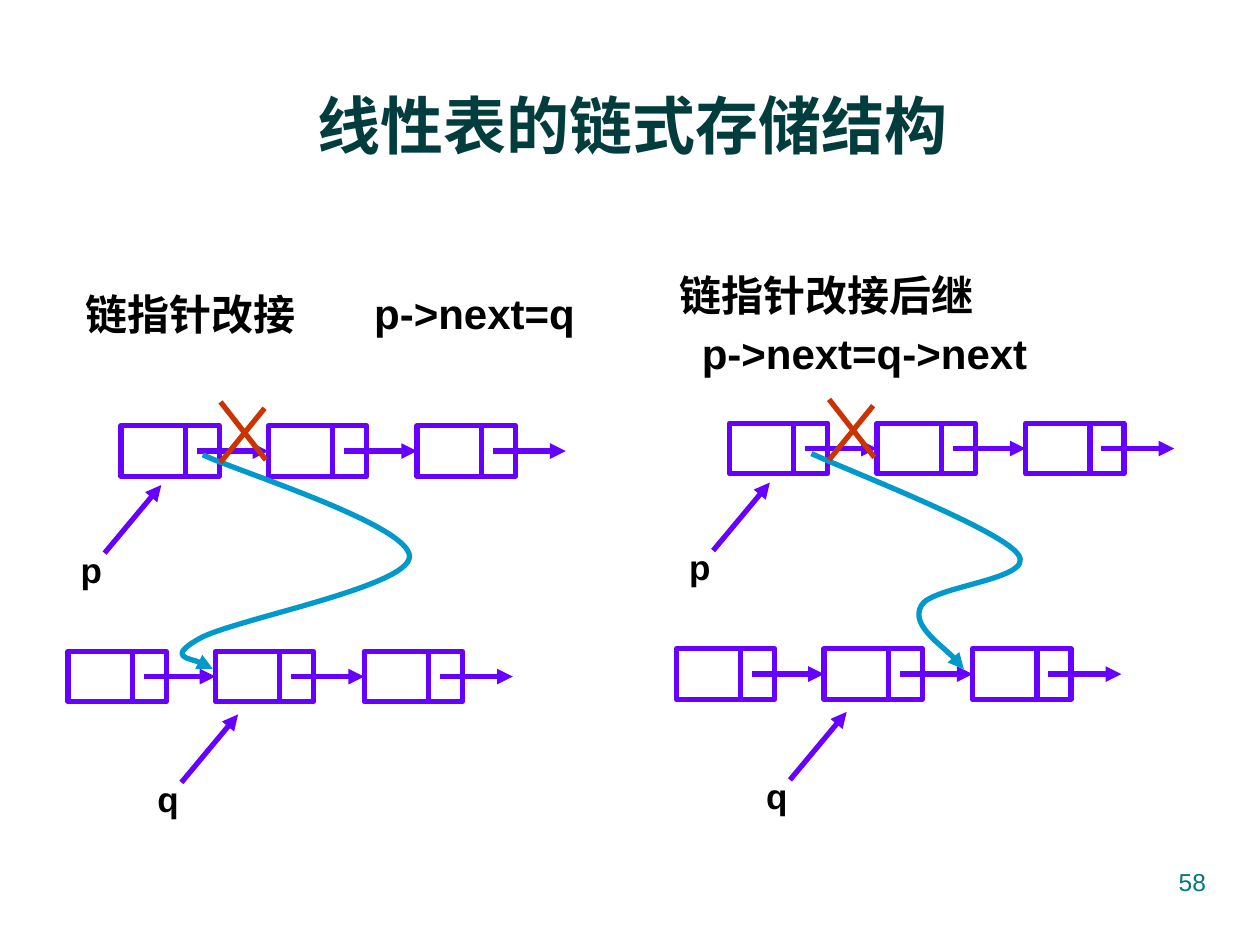
"""Draw two linked-list pointer changes side by side on one slide."""
from dataclasses import dataclass

from lxml import etree
from pptx import Presentation
from pptx.dml.color import RGBColor
from pptx.enum import shapes, text
from pptx.oxml import ns
from pptx.util import Inches, Pt

Point = tuple[float, float]


@dataclass(frozen=True)
class Theme:
    font: str = "Arial"
    ink: str = "000000"
    title: str = "003D3C"
    number: str = "007A77"
    node: str = "6600FF"
    relink: str = "0099CC"
    cross: str = "CC3300"
    title_size: int = 36
    heading_size: int = 24
    label_size: int = 20
    number_size: int = 14
    stroke: int = 3


@dataclass(frozen=True)
class Heading:
    wording: str
    left: float
    top: float
    width: float


@dataclass(frozen=True)
class Chain:
    name: str
    left: float
    top: float
    pointer: Point


@dataclass(frozen=True)
class Panel:
    dx: float
    dy: float
    curve: tuple[Point, ...]


THEME = Theme()
NODE_OFFSETS = (0, 1.17, 2.35)
NODE_WIDTH, NODE_HEIGHT = 0.78, 0.4
HEADINGS = (
    Heading("链指针改接", 0.68, 2.29, 2.28),
    Heading("链指针改接后继", 5.39, 2.14, 3.69),
    Heading("p->next=q", 2.97, 2.28, 2.28),
    Heading("p->next=q->next", 5.57, 2.6, 3),
)
CHAINS = (
    Chain("q", 0.54, 5.17, (1.44, 6.21)),
    Chain("p", 0.96, 3.38, (0.83, 4.39)),
)
CROSS = (((1.75, 3.19), (2.11, 3.65)), ((2.1, 3.24), (1.75, 3.67)))
PANELS = (
    Panel(0, 0, (
        (1.61, 3.61), (1.88, 3.74), (3.26, 4.17), (3.25, 4.42), (3.24, 4.66),
        (1.84, 4.92), (1.58, 5.07), (1.32, 5.22), (1.68, 5.27), (1.69, 5.31))),
    Panel(4.83, -0.02, (
        (6.44, 3.6), (6.72, 3.73), (7.94, 4.2), (8.08, 4.4), (8.23, 4.6),
        (7.38, 4.65), (7.31, 4.81), (7.23, 4.96), (7.58, 5.2), (7.65, 5.31))),
)


def format_text(frame, wording: str, *, size: int, color: str, bold: bool = True,
                align=text.PP_ALIGN.LEFT, anchor=text.MSO_ANCHOR.TOP,
                margins: Point = (0, 0)) -> None:
    """Fill a text frame with one formatted paragraph."""
    frame.word_wrap = True
    frame.auto_size = text.MSO_AUTO_SIZE.NONE
    frame.vertical_anchor = anchor
    frame.margin_left = frame.margin_right = Inches(margins[0])
    frame.margin_top = frame.margin_bottom = Inches(margins[1])
    para = frame.paragraphs[0]
    para.alignment = align
    span = para.add_run()
    span.text = wording
    span.font.name = THEME.font
    span.font.size = Pt(size)
    span.font.bold = bold
    span.font.color.rgb = RGBColor.from_string(color)


def add_text(parent, wording: str, left: float, top: float, width: float,
             height: float, **style) -> None:
    """Add a text box holding one formatted paragraph."""
    box = parent.add_textbox(*map(Inches, (left, top, width, height)))
    format_text(box.text_frame, wording, **style)


def set_stroke(shape, color: str, arrow: bool = False) -> None:
    """Give a shape a plain line without shadow and with an optional arrowhead."""
    shape.line.color.rgb = RGBColor.from_string(color)
    shape.line.width = Pt(THEME.stroke)
    properties = shape._element.spPr
    if arrow:
        etree.SubElement(properties.find(ns.qn("a:ln")), ns.qn("a:tailEnd"), type="triangle")
    etree.SubElement(properties, ns.qn("a:effectLst"))


def add_line(parent, start: Point, end: Point, color: str, arrow: bool = False):
    """Add a straight connector."""
    line = parent.add_connector(shapes.MSO_CONNECTOR.STRAIGHT, *map(Inches, (*start, *end)))
    set_stroke(line, color, arrow)
    return line


def add_curve(parent, points: tuple[Point, ...], color: str) -> None:
    """Add an arrow of cubic segments through a start and triples of points."""
    places = [(Inches(x), Inches(y)) for x, y in points]
    builder = parent.build_freeform(*places[0])
    builder.add_line_segments(places[1:], close=False)
    curve = builder.convert_to_shape()
    curve.fill.background()
    set_stroke(curve, color, arrow=True)
    outline = curve._element.spPr.find(".//" + ns.qn("a:path"))
    steps = outline.findall(ns.qn("a:lnTo"))
    for index in range(0, len(steps), 3):
        segment = etree.SubElement(outline, ns.qn("a:cubicBezTo"))
        for step in steps[index:index + 3]:
            segment.append(step[0])
            outline.remove(step)


def add_chain(page, chain: Chain, dx: float, dy: float) -> None:
    """Add three linked nodes with a named pointer."""
    parent = page.shapes.add_group_shape().shapes
    top = chain.top + dy
    lefts = [chain.left + dx + offset for offset in NODE_OFFSETS]
    nodes = []
    for left in lefts:
        node = parent.add_shape(shapes.MSO_SHAPE.RECTANGLE,
                                *map(Inches, (left, top, NODE_WIDTH, NODE_HEIGHT)))
        node.fill.background()
        set_stroke(node, THEME.node)
        nodes.append(node)
    middle = top + NODE_HEIGHT / 2
    for index, left in enumerate(lefts):
        link = add_line(parent, (left + 0.6, middle), (left + 1.18, middle), THEME.node, True)
        if index + 1 < len(nodes):
            link.end_connect(nodes[index + 1], 1)
        add_line(parent, (left + 0.51, top + 0.02), (left + 0.51, top + NODE_HEIGHT), THEME.node)
    x, y = chain.pointer[0] + dx, chain.pointer[1] + dy
    add_line(parent, (x, y), (x + 0.45, y - 0.54), THEME.node, True)
    add_text(parent, chain.name, x - 0.19, y - 0.04, 0.33, 0.33,
             size=THEME.label_size, color=THEME.ink)


def add_panel(page, panel: Panel) -> None:
    """Add both chains, the new link and the cross over the old link."""
    for chain in CHAINS:
        add_chain(page, chain, panel.dx, panel.dy)
    add_curve(page.shapes, panel.curve, THEME.relink)
    strokes = page.shapes.add_group_shape().shapes
    for ends in CROSS:
        start, end = [(x + panel.dx, y + panel.dy) for x, y in ends]
        add_line(strokes, start, end, THEME.cross)


def main() -> None:
    """Build and save the deck."""
    deck = Presentation()
    deck.slide_width, deck.slide_height = Inches(10), Inches(7.5)
    page = deck.slides.add_slide(deck.slide_layouts[5])
    title = page.shapes.title
    title.left, title.top, title.width, title.height = map(Inches, (0.35, 0.36, 9.34, 1.25))
    format_text(title.text_frame, "线性表的链式存储结构", size=THEME.title_size,
                color=THEME.title, align=text.PP_ALIGN.CENTER,
                anchor=text.MSO_ANCHOR.MIDDLE, margins=(0.1, 0.05))
    for heading in HEADINGS:
        add_text(page.shapes, heading.wording, heading.left, heading.top, heading.width, 0.4,
                 size=THEME.heading_size, color=THEME.ink)
    for panel in PANELS:
        add_panel(page, panel)
    add_text(page.shapes, "58", 7.17, 6.83, 2.5, 0.52, size=THEME.number_size,
             color=THEME.number, bold=False, align=text.PP_ALIGN.RIGHT, margins=(0.1, 0.05))
    deck.save("out.pptx")


if __name__ == "__main__":
    main()
